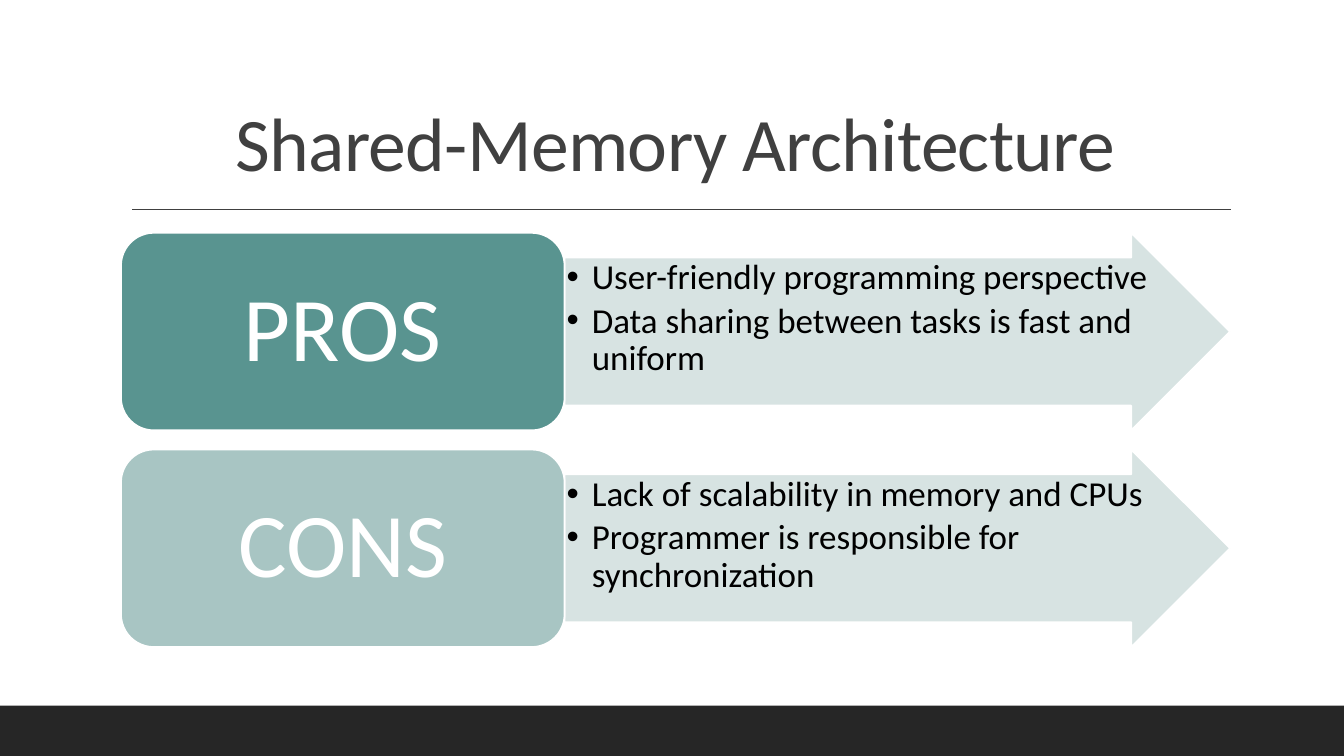
from pptx import Presentation, util as u
from pptx.dml.color import RGBColor
from pptx.enum import shapes, text
from pptx.oxml.ns import qn
from lxml import etree

WHITE = RGBColor(0xFF, 0xFF, 0xFF)
BLACK = RGBColor(0, 0, 0)
CHARCOAL = RGBColor(0x26, 0x26, 0x26)
GREY = RGBColor(0x40, 0x40, 0x40)
TEAL = RGBColor(0x59, 0x94, 0x90)
SAGE = RGBColor(0xA8, 0xC5, 0xC3)
MIST = RGBColor(0xD3, 0xE0, 0xDF)

TITLE = "Shared-Memory Architecture"
ROWS = [
    ("PROS", TEAL, ["User-friendly programming perspective",
                    "Data sharing between tasks is fast and uniform"]),
    ("CONS", SAGE, ["Lack of scalability in memory and CPUs",
                    "Programmer is responsible for synchronization"]),
]

WIDTH, HEIGHT = 13.33, 7.5
LEFT, CONTENT_WIDTH = 1.2, 11
LABEL_WIDTH = CONTENT_WIDTH * 0.4
ARROW_WIDTH = CONTENT_WIDTH - LABEL_WIDTH
ROW_TOP, ROW_HEIGHT, ROW_PITCH = 2.31, 1.96, 2.15
FOOTER_HEIGHT = HEIGHT / 15

LABEL_FORMAT = dict(size=65, color=WHITE, align=text.PP_ALIGN.CENTER, spacing=0.9)
BULLET_FORMAT = dict(size=25, color=BLACK, align=text.PP_ALIGN.LEFT, spacing=0.9, after=4)
TITLE_FORMAT = dict(size=54, color=GREY, align=text.PP_ALIGN.CENTER, spacing=0.8)


def add_block(page, kind, box, fill, line=None):
    shape = page.shapes.add_shape(kind, *map(u.Inches, box))
    shape.shadow.inherit = False
    shape.fill.solid()
    shape.fill.fore_color.rgb = fill
    if line is None:
        shape.line.fill.background()
    else:
        shape.line.color.rgb = line
        shape.line.width = u.Pt(1.25)
    return shape


def write(shape, lines, anchor, insets, size, color, align, spacing, after=0):
    frame = shape.text_frame
    frame.text = "\n".join(lines)
    sides = ("margin_left", "margin_top", "margin_right", "margin_bottom")
    settings = dict(zip(sides, map(u.Inches, insets)))
    settings.update(word_wrap=True, vertical_anchor=anchor, auto_size=text.MSO_AUTO_SIZE.NONE)
    for name, value in settings.items():
        setattr(frame, name, value)
    for para in frame.paragraphs:
        for name, value in dict(alignment=align, line_spacing=spacing,
                                space_before=u.Pt(0), space_after=u.Pt(after)).items():
            setattr(para, name, value)
        span = para.runs[0]
        span.font.name = "Calibri"
        span.font.size = u.Pt(size)
        span.font.color.rgb = color
    return frame


def add_bullets(frame):
    for para in frame.paragraphs:
        props = para._p.get_or_add_pPr()
        props.set("marL", str(u.Inches(0.25)))
        props.set("indent", str(u.Inches(-0.25)))
        etree.SubElement(props, qn("a:buFont")).set("typeface", "Arial")
        etree.SubElement(props, qn("a:buChar")).set("char", "•")


def add_row(page, top, label, color, points):
    arrow = add_block(page, shapes.MSO_SHAPE.RIGHT_ARROW,
                      (LEFT + LABEL_WIDTH, top, ARROW_WIDTH, ROW_HEIGHT), MIST, WHITE)
    arrow.adjustments[0] = 0.75
    tint = arrow._element.spPr.find(qn("a:solidFill"))[0]
    etree.SubElement(tint, qn("a:alpha")).set("val", "90000")
    add_bullets(write(arrow, points, text.MSO_ANCHOR.TOP, [0.02] * 4, **BULLET_FORMAT))
    card = add_block(page, shapes.MSO_SHAPE.ROUNDED_RECTANGLE,
                     (LEFT, top, LABEL_WIDTH, ROW_HEIGHT), color, WHITE)
    write(card, [label], text.MSO_ANCHOR.MIDDLE, (0.27, 0.14, 0.27, 0.14), **LABEL_FORMAT)


def main():
    deck = Presentation()
    deck.slide_width, deck.slide_height = u.Inches(WIDTH), u.Inches(HEIGHT)
    page = deck.slides.add_slide(deck.slide_layouts[5])

    add_block(page, shapes.MSO_SHAPE.RECTANGLE,
              (0, HEIGHT - FOOTER_HEIGHT, WIDTH, FOOTER_HEIGHT), CHARCOAL)
    rule = page.shapes.add_connector(shapes.MSO_CONNECTOR.STRAIGHT,
                                     *map(u.Inches, (1.31, 2.08, 12.21, 2.08)))
    rule.line.color.rgb = GREY
    rule.line.width = u.Pt(1)
    etree.SubElement(rule._element.spPr, qn("a:effectLst"))

    title = page.shapes.title
    box = dict(left=LEFT, top=0.31, width=CONTENT_WIDTH, height=1.59)
    for name, value in box.items():
        setattr(title, name, u.Inches(value))
    frame = write(title, [TITLE], text.MSO_ANCHOR.BOTTOM, (0.1, 0.05, 0.1, 0.05), **TITLE_FORMAT)
    frame.paragraphs[0].runs[0].font._element.set("spc", "-50")

    for index, row in enumerate(ROWS):
        add_row(page, ROW_TOP + index * ROW_PITCH, *row)
    deck.save("out.pptx")


if __name__ == "__main__":
    main()
